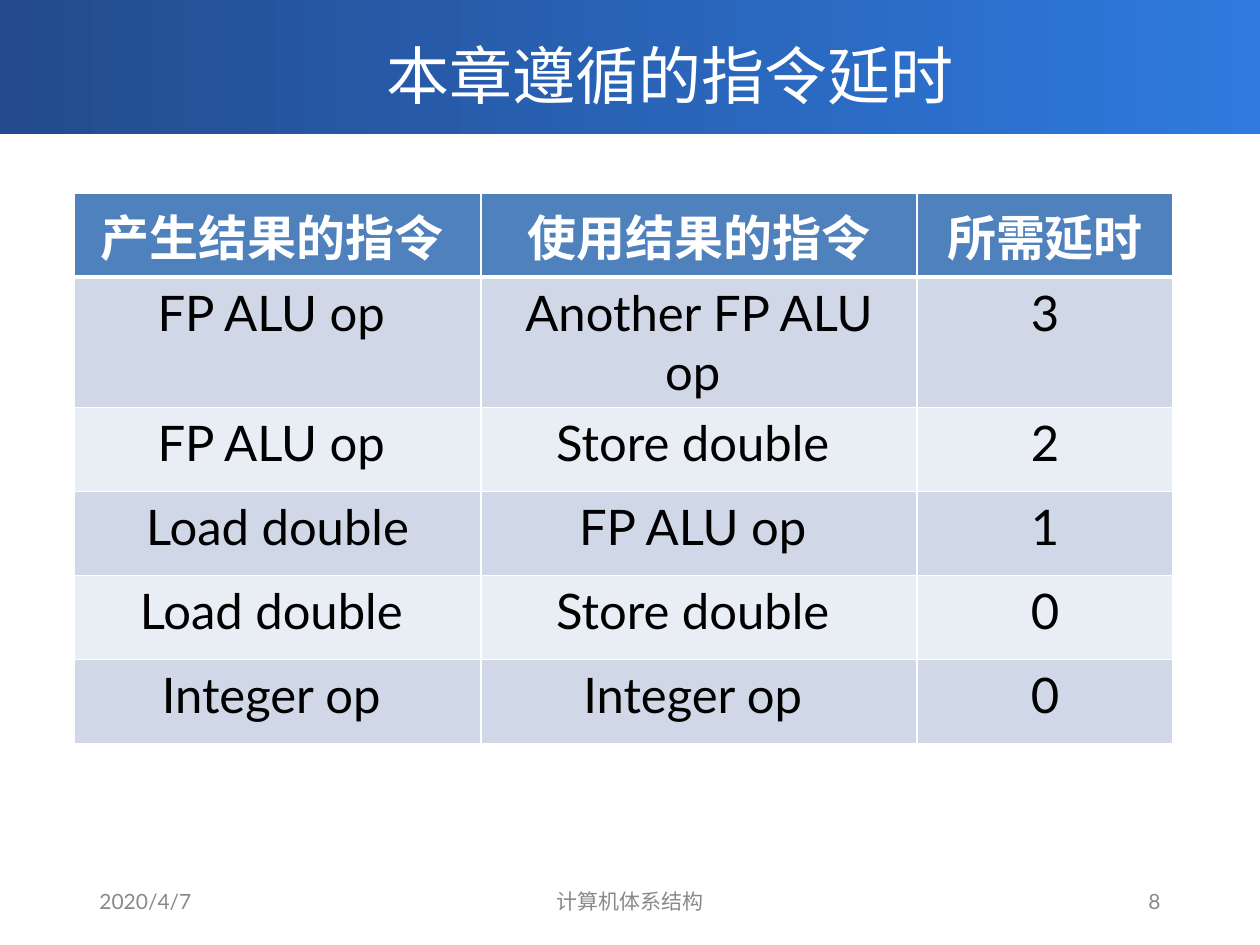
from dataclasses import dataclass

from lxml import etree
from pptx import Presentation
from pptx.dml.color import RGBColor
from pptx.enum.shapes import MSO_SHAPE
from pptx.enum.text import MSO_ANCHOR, PP_ALIGN
from pptx.oxml.ns import qn
from pptx.util import Emu, Pt

LEFT, CENTER, RIGHT = PP_ALIGN.LEFT, PP_ALIGN.CENTER, PP_ALIGN.RIGHT
MIDDLE = MSO_ANCHOR.MIDDLE
RECT = MSO_SHAPE.RECTANGLE
EMU_PER_PX = 914400 / 126


@dataclass(frozen=True)
class Theme:
    """Colours, fonts and type sizes of the slide."""
    banner: tuple = ("234B8D", "2F7ADF")
    header: str = "4F81BD"
    bands: tuple = ("D0D8E8", "E9EDF4")
    white: str = "FFFFFF"
    ink: str = "000000"
    muted: str = "898989"
    latin: str = "Lato"
    cjk: str = "Noto Sans CJK SC"
    title_size: int = 36
    table_size: int = 28
    footer_size: int = 12


def px(n):
    """Turn pixels into EMU."""
    return Emu(round(n * EMU_PER_PX))


def rgb(value):
    """Turn a hex string into a colour."""
    return RGBColor.from_string(value)


class Painter:
    """Draws themed elements on one slide."""

    def __init__(self, slide, theme):
        """Keep the slide and its theme."""
        self.s = slide
        self.theme = theme

    def set_text(self, tf, text, size, color, align, bold=False, latin=None):
        """Fill a text frame with one formatted paragraph."""
        tf.text = text
        p = tf.paragraphs[0]
        p.alignment = align
        for r in p.runs:
            r.font.size = Pt(size)
            r.font.bold = bold
            r.font.name = latin or self.theme.latin
            r.font.color.rgb = rgb(color)
            ea = etree.SubElement(r._r.get_or_add_rPr(), qn("a:ea"))
            ea.set("typeface", self.theme.cjk)

    def banner(self, x, y, w, h):
        """Draw a rectangle with a left-to-right gradient."""
        sp = self.s.shapes.add_shape(RECT, px(x), px(y), px(w), px(h))
        sp.shadow.inherit = False
        sp.line.fill.background()
        sp.fill.gradient()
        sp.fill.gradient_angle = 0
        for stop, color in zip(sp.fill.gradient_stops, self.theme.banner):
            stop.color.rgb = rgb(color)

    def text(self, x, y, w, h, text, size, color, align, latin=None):
        """Draw a vertically centred text box."""
        sp = self.s.shapes.add_textbox(px(x), px(y), px(w), px(h))
        tf = sp.text_frame
        tf.word_wrap = True
        tf.vertical_anchor = MIDDLE
        self.set_text(tf, text, size, color, align, latin=latin)

    def borders(self, cell, bottom):
        """Give a cell white borders, the lower one of the given width."""
        tc_pr = cell._tc.get_or_add_tcPr()
        for i, (side, width) in enumerate(
                (("L", 1), ("R", 1), ("T", 1), ("B", bottom))):
            ln = etree.Element(qn(f"a:ln{side}"), w=str(Pt(width)))
            fill = etree.SubElement(ln, qn("a:solidFill"))
            etree.SubElement(fill, qn("a:srgbClr"), val=self.theme.white)
            tc_pr.insert(i, ln)

    def table(self, x, y, widths, row_h, rows):
        """Draw a banded table whose first row is the header."""
        t = self.theme
        frame = self.s.shapes.add_table(
            len(rows), len(widths), px(x), px(y),
            px(sum(widths)), px(row_h * len(rows)))
        table = frame.table
        for col, width in zip(table.columns, widths):
            col.width = px(width)
        for i, values in enumerate(rows):
            head = i == 0
            table.rows[i].height = px(row_h)
            fill = t.header if head else t.bands[(i - 1) % 2]
            for cell, value in zip(table.rows[i].cells, values):
                cell.fill.solid()
                cell.fill.fore_color.rgb = rgb(fill)
                self.borders(cell, 3 if head else 1)
                self.set_text(cell.text_frame, value, t.table_size,
                              t.white if head else t.ink, CENTER, head)


def main():
    """Build the slide and save it."""
    prs = Presentation()
    prs.slide_width, prs.slide_height = px(1260), px(945)
    theme = Theme()
    painter = Painter(prs.slides.add_slide(prs.slide_layouts[6]), theme)

    painter.banner(0, 0, 1260, 134)
    for x, w, text, align in ((87, 283, "2020/4/7", LEFT),
                              (417, 426, "计算机体系结构", CENTER),
                              (890, 283, "8", RIGHT)):
        painter.text(x, 876, w, 50, text, theme.footer_size, theme.muted, align)
    painter.text(142, 20, 1055, 108, "本章遵循的指令延时",
                 theme.title_size, theme.white, CENTER, theme.cjk)
    painter.table(74, 193, (407, 436, 256), 84, (
        ("产生结果的指令 ", "使用结果的指令", "所需延时"),
        ("FP ALU op ", "Another FP ALU op ", "3"),
        ("FP ALU op ", "Store double ", "2"),
        ("Load double", "FP ALU op ", "1"),
        ("Load double ", "Store double ", "0"),
        ("Integer op ", "Integer op ", "0"),
    ))
    prs.save("out.pptx")


if __name__ == "__main__":
    main()
